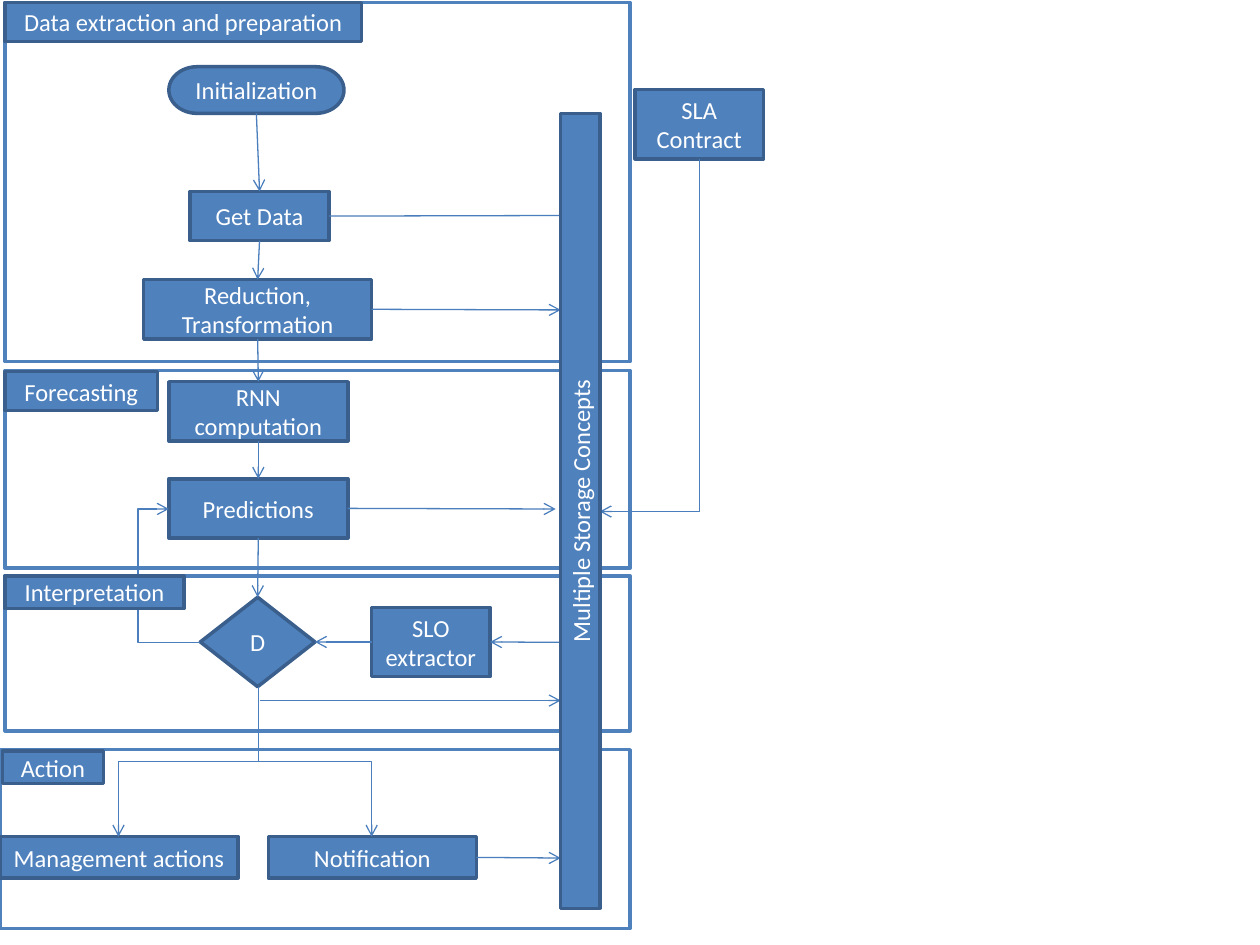
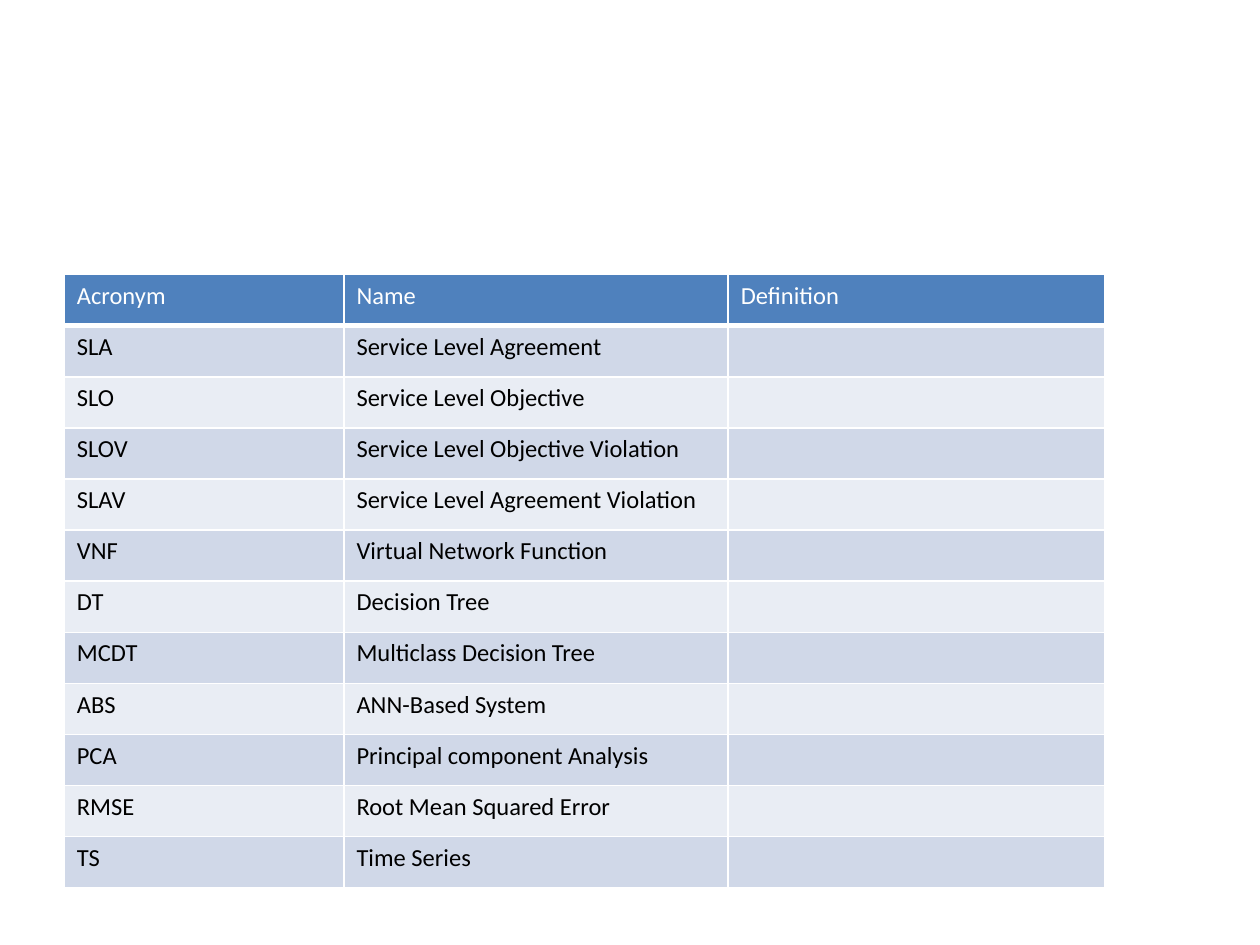
"""Build a forecasting workflow diagram and a table of its acronyms."""
from lxml import etree
from pptx import Presentation
from pptx.dml.color import RGBColor
from pptx.enum.shapes import MSO_CONNECTOR, MSO_SHAPE
from pptx.enum.text import MSO_ANCHOR, PP_ALIGN
from pptx.oxml.ns import qn
from pptx.util import Inches, Pt

RECTANGLE = MSO_SHAPE.RECTANGLE
PROCESS = MSO_SHAPE.FLOWCHART_PROCESS
TERMINATOR = MSO_SHAPE.FLOWCHART_TERMINATOR
DECISION = MSO_SHAPE.FLOWCHART_DECISION
STRAIGHT, ELBOW = MSO_CONNECTOR.STRAIGHT, MSO_CONNECTOR.ELBOW
CENTER, MIDDLE = PP_ALIGN.CENTER, MSO_ANCHOR.MIDDLE
TOP, LEFT, BOTTOM, RIGHT = range(4)

BLUE = RGBColor(0x4F, 0x81, 0xBD)
DARK_BLUE = RGBColor(0x3A, 0x5F, 0x8C)
ARROW_BLUE = RGBColor(0x4B, 0x7E, 0xBC)
WHITE = RGBColor(0xFF, 0xFF, 0xFF)
BLACK = RGBColor(0x00, 0x00, 0x00)
BANDS = [RGBColor(0xE9, 0xED, 0xF4), RGBColor(0xD0, 0xD8, 0xE8)]
FONT, TEXT_SIZE = "Calibri", Pt(14)
BLANK_LAYOUT = 6


def add_box(page, kind, place, text="", fill=BLUE, outline=DARK_BLUE):
    box = page.shapes.add_shape(kind, *map(Inches, place))
    box.shadow.inherit = False
    box.fill.solid()
    box.fill.fore_color.rgb = fill
    box.line.color.rgb = outline
    box.line.width = Pt(2)
    if text:
        box.text_frame.text = text
        box.text_frame.word_wrap = True
        box.text_frame.vertical_anchor = MIDDLE
        para = box.text_frame.paragraphs[0]
        para.alignment = CENTER
        font = para.runs[0].font
        font.name, font.size, font.color.rgb = FONT, TEXT_SIZE, WHITE
    return box


def add_arrow(page, kind, start, end):
    arrow = page.shapes.add_connector(kind, *map(Inches, start + end))
    arrow.line.color.rgb = ARROW_BLUE
    arrow.line.width = Pt(0.75)
    etree.SubElement(arrow.line._get_or_add_ln(), qn("a:tailEnd"), type="arrow")
    etree.SubElement(arrow._element.spPr, qn("a:effectLst"))
    return arrow


deck = Presentation()
deck.slide_width, deck.slide_height = Inches(10), Inches(7.5)
page = deck.slides.add_slide(deck.slide_layouts[BLANK_LAYOUT])

stage_frames = [
    (PROCESS, (0, 5.95, 5, 1.42)),
    (PROCESS, (0.04, 4.57, 4.96, 1.23)),
    (RECTANGLE, (0.04, 2.94, 4.96, 1.57)),
    (RECTANGLE, (0.04, 0.02, 4.96, 2.85)),
]
for kind, place in stage_frames:
    add_box(page, kind, place, fill=WHITE, outline=BLUE)

steps = {}
for kind, place, text in [
    (TERMINATOR, (1.34, 0.53, 1.39, 0.37), "Initialization"),
    (PROCESS, (1.51, 1.52, 1.1, 0.39), "Get Data"),
    (PROCESS, (1.14, 2.22, 1.81, 0.47), "Reduction, Transformation"),
    (PROCESS, (1.34, 3.03, 1.42, 0.47), "RNN computation"),
    (PROCESS, (1.34, 3.8, 1.42, 0.47), "Predictions"),
    (DECISION, (1.59, 4.74, 0.91, 0.71), "D"),
    (PROCESS, (0, 6.64, 1.89, 0.33), "Management actions"),
    (PROCESS, (2.13, 6.64, 1.65, 0.33), "Notification"),
    (PROCESS, (5.04, 0.71, 1.02, 0.55), "SLA Contract"),
    (PROCESS, (2.95, 4.82, 0.94, 0.55), "SLO extractor"),
]:
    steps[text] = add_box(page, kind, place, text)

flow = ["Initialization", "Get Data", "Reduction, Transformation",
        "RNN computation", "Predictions", "D"]
for source, target in zip(flow, flow[1:]):
    arrow = add_arrow(page, STRAIGHT, (0, 0), (0, 0))
    arrow.begin_connect(steps[source], BOTTOM)
    arrow.end_connect(steps[target], TOP)

for source, start, end in [
    ("Get Data", (2.61, 1.71), (4.58, 1.71)),
    ("Reduction, Transformation", (2.95, 2.46), (4.45, 2.46)),
    ("Predictions", (2.76, 4.04), (4.41, 4.04)),
    ("Notification", (3.78, 6.81), (4.45, 6.81)),
]:
    add_arrow(page, STRAIGHT, start, end).begin_connect(steps[source], RIGHT)

extracted = add_arrow(page, STRAIGHT, (2.95, 5.1), (2.5, 5.1))
extracted.begin_connect(steps["SLO extractor"], LEFT)
extracted.end_connect(steps["D"], RIGHT)
from_storage = add_arrow(page, STRAIGHT, (4.76, 5.1), (3.9, 5.1))
from_storage.end_connect(steps["SLO extractor"], RIGHT)
add_arrow(page, STRAIGHT, (2.06, 5.56), (4.45, 5.56))

feedback = add_arrow(page, ELBOW, (1.59, 5.1), (1.34, 4.04))
guides = feedback._element.spPr.find(qn("a:prstGeom")).find(qn("a:avLst"))
etree.SubElement(guides, qn("a:gd"), name="adj1", fmla="val 197700")

for (x1, y1), (x2, y2), geometry in [
    ((2.05, 5.45), (0.94, 6.64), "bentConnector3"),
    ((2.05, 5.45), (2.95, 6.64), "bentConnector3"),
    ((5.55, 1.26), (4.76, 4.06), "bentConnector2"),
]:
    center_x, center_y = (x1 + x2) / 2, (y1 + y2) / 2
    half_length, half_rise = (y2 - y1) / 2, (x1 - x2) / 2
    turned = add_arrow(page, ELBOW,
                       (center_x - half_length, center_y - half_rise),
                       (center_x + half_length, center_y + half_rise))
    properties = turned._element.spPr
    properties.find(qn("a:xfrm")).set("rot", "5400000")
    properties.find(qn("a:prstGeom")).set("prst", geometry)

for kind, place, text in [
    (RECTANGLE, (0.04, 0.02, 2.83, 0.31), "Data extraction and preparation"),
    (RECTANGLE, (0.04, 2.95, 1.21, 0.31), "Forecasting"),
    (PROCESS, (0.04, 4.57, 1.42, 0.26), "Interpretation"),
    (PROCESS, (0.02, 5.96, 0.8, 0.26), "Action"),
]:
    add_box(page, kind, place, text)
storage = add_box(page, PROCESS, (1.45, 3.9, 6.31, 0.31), "Multiple Storage Concepts")
storage.rotation = 270

page = deck.slides.add_slide(deck.slide_layouts[BLANK_LAYOUT])
acronyms = [
    ("Acronym", "Name", "Definition"),
    ("SLA", "Service Level Agreement", ""),
    ("SLO", "Service Level Objective", ""),
    ("SLOV", "Service Level Objective Violation", ""),
    ("SLAV", "Service Level Agreement Violation", ""),
    ("VNF", "Virtual Network Function", ""),
    ("DT", "Decision Tree", ""),
    ("MCDT", "Multiclass Decision Tree", ""),
    ("ABS", "ANN-Based System", ""),
    ("PCA", "Principal component Analysis", ""),
    ("RMSE", "Root Mean Squared Error", ""),
    ("TS", "Time Series", ""),
]
table = page.shapes.add_table(len(acronyms), 3, Inches(0.51), Inches(2.18),
                              Inches(8.26), Inches(4.87)).table
for column, width in zip(table.columns, (2.22, 3.05, 2.99)):
    column.width = Inches(width)

for row_index, entry in enumerate(acronyms):
    is_header = row_index == 0
    for column_index, text in enumerate(entry):
        cell = table.cell(row_index, column_index)
        for side in ("lnL", "lnR", "lnT", "lnB"):
            heavy = (row_index, side) in ((0, "lnB"), (1, "lnT"))
            border = etree.SubElement(cell._tc.get_or_add_tcPr(), qn("a:" + side),
                                      w=str(Pt(3 if heavy else 1)))
            paint = etree.SubElement(border, qn("a:solidFill"))
            etree.SubElement(paint, qn("a:srgbClr"), val=str(WHITE))
        cell.fill.solid()
        cell.fill.fore_color.rgb = BLUE if is_header else BANDS[row_index % 2]
        cell.text_frame.text = text
        font = cell.text_frame.paragraphs[0].font
        font.size = TEXT_SIZE
        for span in cell.text_frame.paragraphs[0].runs:
            span.font.name, span.font.size, span.font.bold = FONT, TEXT_SIZE, False
            span.font.color.rgb = WHITE if is_header else BLACK

deck.save("out.pptx")
